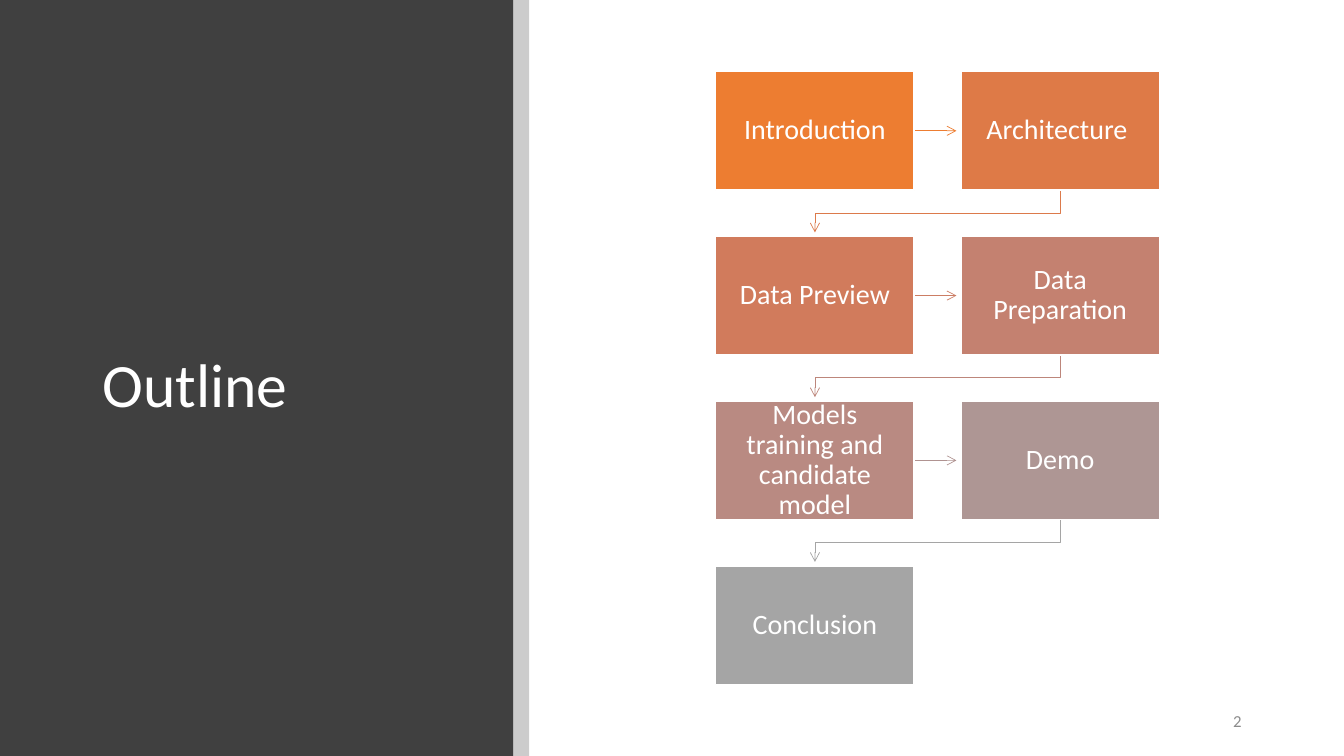
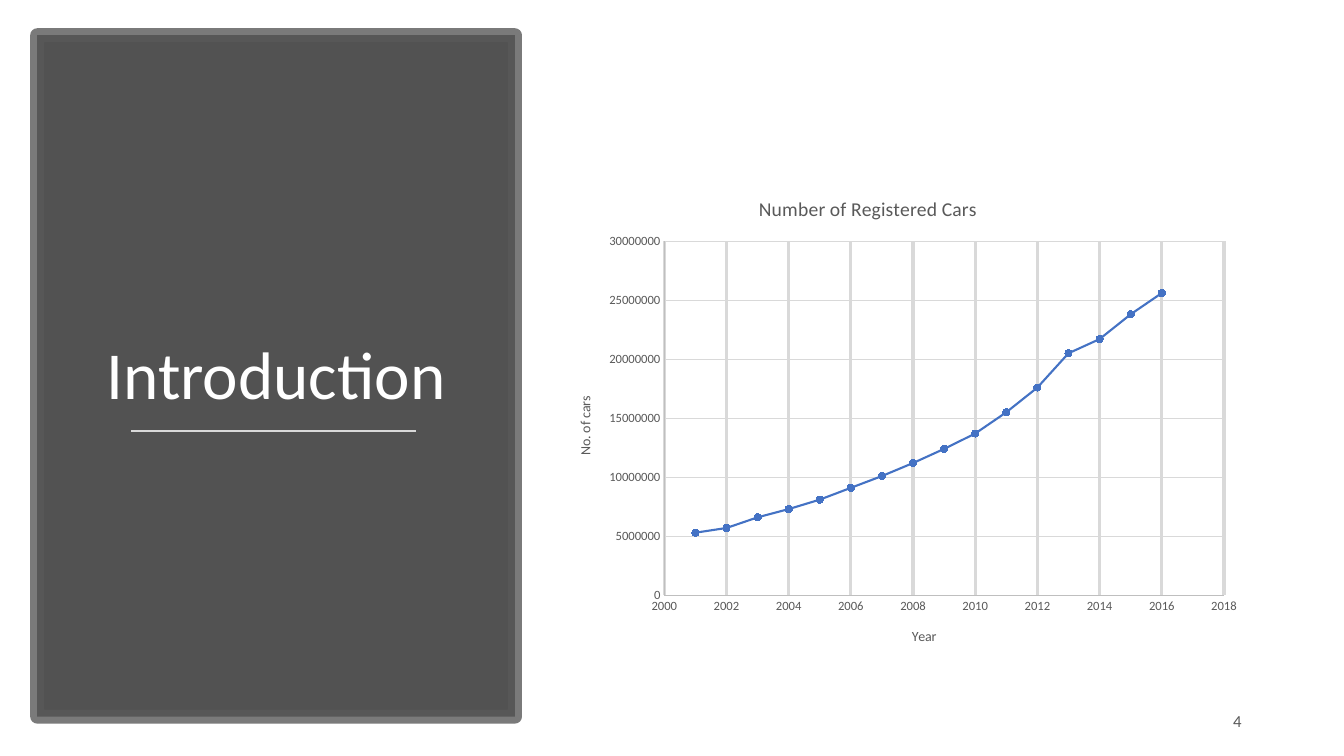
"""Builds an outline slide and an introduction slide with a scatter chart."""
from lxml import etree
from pptx import Presentation
from pptx.chart.data import XyChartData
from pptx.dml.color import RGBColor
from pptx.enum.chart import XL_CHART_TYPE as CT, XL_MARKER_STYLE as MARKER, XL_TICK_MARK as TICK
from pptx.enum.shapes import MSO_CONNECTOR as CONN, MSO_SHAPE as SHAPE
from pptx.enum.text import MSO_ANCHOR as ANCHOR, PP_ALIGN as ALIGN
from pptx.oxml.ns import qn
from pptx.util import Pt

COLORS = {name: RGBColor.from_string(value) for name, value in {
    "white": "FFFFFF", "dark": "404040", "black": "000000", "frame": "595959",
    "number": "8C8C8C", "rule": "D9D9D9", "axis": "BFBFBF", "series": "4472C4"}.items()}
FONT = "Calibri"


def add_panel(s, box, fill, alpha=100, line=None, width=1, line_alpha=100):
    sp = s.shapes.add_shape(SHAPE.RECTANGLE, *map(Pt, box))
    sp.shadow.inherit = False
    sp.fill.solid()
    sp.fill.fore_color.rgb = fill
    if line is None:
        sp.line.fill.background()
    else:
        sp.line.color.rgb = line
        sp.line.width = Pt(width)
    for clr, share in zip(sp._element.spPr.iter(qn("a:srgbClr")), (alpha, line_alpha)):
        if share < 100:
            etree.SubElement(clr, qn("a:alpha")).set("val", str(share * 1000))
    return sp


def put_text(sp, text, size, color, align=ALIGN.LEFT, anchor=ANCHOR.MIDDLE, spacing=0.9):
    tf = sp.text_frame
    tf.word_wrap = True
    tf.vertical_anchor = anchor
    p = tf.paragraphs[0]
    p.alignment = align
    p.line_spacing = spacing
    r = p.add_run()
    r.text = text
    r.font.name = FONT
    r.font.size = Pt(size)
    r.font.color.rgb = color
    return tf


prs = Presentation()
prs.slide_width, prs.slide_height = Pt(960), Pt(540)
outline, intro = [prs.slides.add_slide(prs.slide_layouts[6]) for _ in range(2)]

add_panel(outline, (0, 0, 366.5, 540), COLORS["dark"])
add_panel(outline, (366.5, 0, 11.5, 540), COLORS["black"], 20)
add_panel(intro, (26.6, 25.2, 341.3, 486.7), COLORS["dark"], 90, COLORS["frame"], 10, 80)

for s, title, size, box, align, anchor, number, color in (
        (outline, "Outline", 44, (66.2, 64.1, 262.8, 425.5), ALIGN.LEFT, ANCHOR.MIDDLE,
         "2", COLORS["number"]),
        (intro, "Introduction", 48, (53.3, 72, 288, 227.5), ALIGN.CENTER, ANCHOR.BOTTOM,
         "4", COLORS["frame"])):
    put_text(s.shapes.add_textbox(*map(Pt, box)), title, size, COLORS["white"], align, anchor)
    put_text(s.shapes.add_textbox(Pt(786), Pt(500.5), Pt(108), Pt(28.8)), number, 12, color,
             ALIGN.RIGHT, spacing=1)

steps = [("Introduction", "ED7D31", "ED7D31"), ("Architecture ", "DE7A47", "DC7A4B"),
         ("Data Preview", "D17B5C", "CC7D64"), ("Data Preparation", "C48170", "BD867B"),
         ("Models training and candidate model", "B98A82", "B09391"),
         ("Demo", "AE9694", "A5A5A5"), ("Conclusion", "A5A5A5", None)]
left, top, width, height = 511.2, 51.1, 141.8, 84.7
col_step, row_step, reach = 175.2, 117.7, 30.2
for i, (label, fill, arrow_color) in enumerate(steps):
    row, col = divmod(i, 2)
    x, y = left + col * col_step, top + row * row_step
    if arrow_color:
        if col == 0:
            middle = Pt(y + height / 2)
            arrow = outline.shapes.add_connector(
                CONN.STRAIGHT, Pt(x + width), middle, Pt(x + width + reach), middle)
            etree.SubElement(arrow._element.spPr, qn("a:effectLst"))
        else:
            start, end, bottom = x + width / 2, left + width / 2, y + height
            path_builder = outline.shapes.build_freeform(Pt(start), Pt(bottom))
            path_builder.add_line_segments(
                [(Pt(px), Pt(py)) for px, py in ((start, bottom + 16.3), (end, bottom + 16.3),
                                                 (end, bottom + reach))], close=False)
            arrow = path_builder.convert_to_shape()
            arrow.fill.background()
            arrow.shadow.inherit = False
        arrow.line.color.rgb = RGBColor.from_string(arrow_color)
        arrow.line.width = Pt(0.5)
        etree.SubElement(arrow.line._get_or_add_ln(), qn("a:tailEnd")).set("type", "arrow")
    sp = add_panel(outline, (x, y, width, height), RGBColor.from_string(fill),
                   line=COLORS["white"])
    tf = put_text(sp, label, 20, COLORS["white"], ALIGN.CENTER)
    tf.margin_left = tf.margin_right = tf.margin_top = tf.margin_bottom = Pt(7.2)

rule = intro.shapes.add_connector(CONN.STRAIGHT, Pt(93.6), Pt(308), Pt(297.4), Pt(308))
rule.line.color.rgb = COLORS["rule"]
rule.line.width = Pt(1.75)
etree.SubElement(rule._element.spPr, qn("a:effectLst"))

millions = (5.3, 5.7, 6.6, 7.3, 8.1, 9.1, 10.1, 11.2, 12.4, 13.7, 15.5, 17.6, 20.5, 21.7, 23.8, 25.6)
data = XyChartData()
cars = data.add_series("Series 1")
for year, value in enumerate(millions, 2001):
    cars.add_data_point(year, round(value * 1000000))
chart = intro.shapes.add_chart(CT.XY_SCATTER_LINES, Pt(394.6), Pt(123.1), Pt(499.7), Pt(351.4),
                               data).chart
chart.has_legend = False
chart.font.name = FONT
chart.font.size = Pt(10)
chart.has_title = True
year_axis, cars_axis = chart.category_axis, chart.value_axis
for axis, low, high, unit, grid in ((year_axis, 2000, 2018, 2, 2.25),
                                    (cars_axis, 0, 30000000, 5000000, 0.75)):
    axis.minimum_scale, axis.maximum_scale, axis.major_unit = low, high, unit
    axis.major_tick_mark = axis.minor_tick_mark = TICK.NONE
    axis.has_major_gridlines = True
    axis.major_gridlines.format.line.color.rgb = COLORS["rule"]
    axis.major_gridlines.format.line.width = Pt(grid)
    axis.format.line.color.rgb = COLORS["axis"]
    axis.format.line.width = Pt(0.75)
    axis.tick_labels.font.name = FONT
    axis.tick_labels.font.size = Pt(9)
    axis.tick_labels.font.color.rgb = COLORS["frame"]
    axis.has_title = True
for holder, text, size in ((chart.chart_title, "Number of Registered Cars", 14),
                           (year_axis.axis_title, "Year", 10),
                           (cars_axis.axis_title, "No. of cars", 10)):
    r = holder.text_frame.paragraphs[0].add_run()
    r.text = text
    r.font.name = FONT
    r.font.size = Pt(size)
    r.font.bold = False
    r.font.color.rgb = COLORS["frame"]
turned = cars_axis.axis_title.text_frame._txBody.bodyPr
turned.set("rot", "-5400000")
turned.set("vert", "horz")

series = chart.plots[0].series[0]
series.smooth = False
series.format.line.color.rgb = COLORS["series"]
series.format.line.width = Pt(1.5)
series.marker.style = MARKER.CIRCLE
series.marker.size = 5
series.marker.format.fill.solid()
series.marker.format.fill.fore_color.rgb = COLORS["series"]
series.marker.format.line.color.rgb = COLORS["series"]

space = chart._chartSpace
parts = [next(space.iter(qn("c:plotArea"))), *space.iter(qn("c:title"))]
places = ((0.16, 0.14, 0.8, 0.72), (0.29, 0.04), (0.51, 0.92), (0.03, 0.45))
for part, place in zip(parts, places):
    for old in part.findall(qn("c:layout")):
        part.remove(old)
    layout = etree.Element(qn("c:layout"))
    part.insert(0 if len(place) == 4 else 1, layout)
    manual = etree.SubElement(layout, qn("c:manualLayout"))
    if len(place) == 4:
        etree.SubElement(manual, qn("c:layoutTarget")).set("val", "inner")
    for tag in ("xMode", "yMode"):
        etree.SubElement(manual, qn("c:" + tag)).set("val", "edge")
    for tag, value in zip("xywh", place):
        etree.SubElement(manual, qn("c:" + tag)).set("val", str(value))

prs.save("out.pptx")
